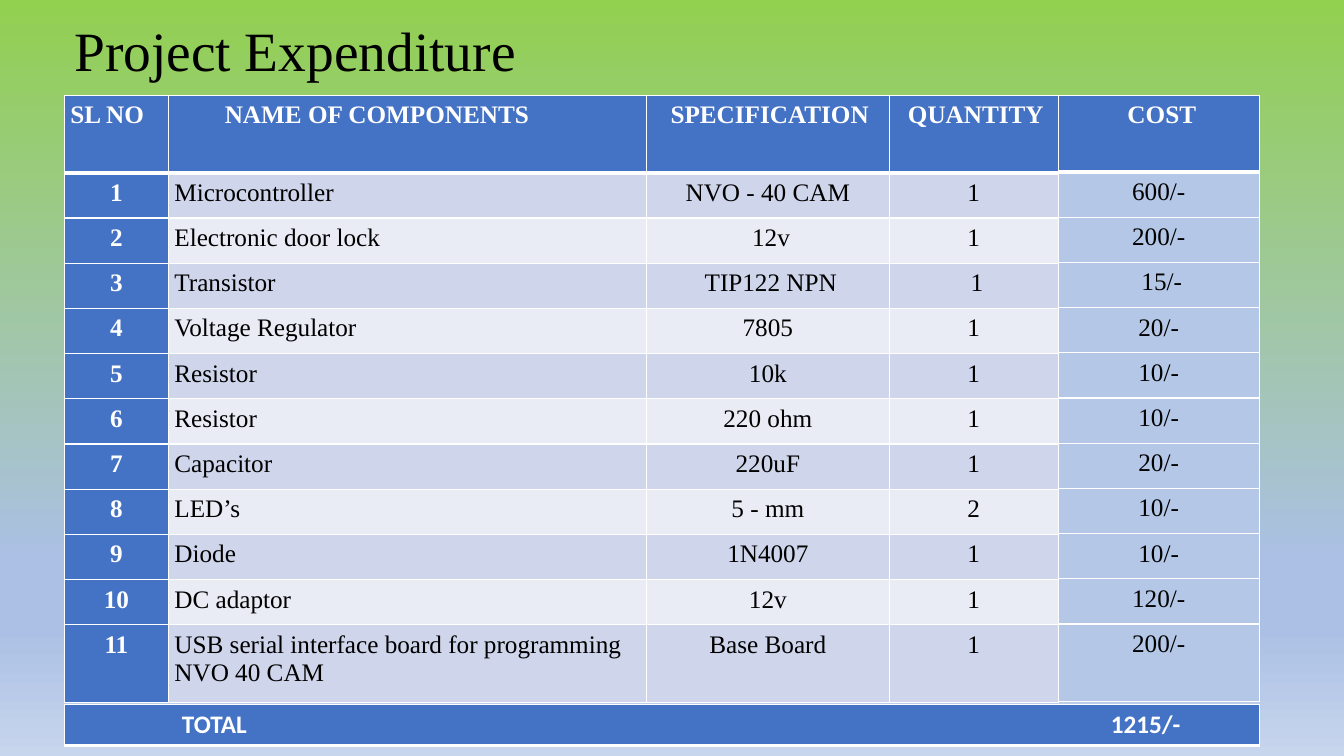
from lxml import etree
from pptx import Presentation
from pptx.dml.color import RGBColor
from pptx.enum.text import MSO_ANCHOR, PP_ALIGN
from pptx.oxml import parse_xml
from pptx.oxml.ns import qn
from pptx.util import Pt

CENTER, LEFT = PP_ALIGN.CENTER, PP_ALIGN.LEFT
MIDDLE = MSO_ANCHOR.MIDDLE
SERIF, SANS = "Times New Roman", "Calibri"
BLUE, COST_BLUE, BANDS = "4472C4", "B4C7E7", ("CFD5EA", "E9EBF5")
WHITE, BLACK = "FFFFFF", "000000"
DRAWING = "http://schemas.openxmlformats.org/drawingml/2006/main"
INSET = 4.3
TABLE_LEFT, TABLE_TOP = 46, 68.2
WIDTHS = [74.3, 341.4, 173.6, 120.6]
COST_WIDTH = 143.5
ROW_HEIGHT, TALL_ROW = 32.3, 55.3

HEADINGS = ["SL NO", "NAME OF COMPONENTS", "SPECIFICATION", "QUANTITY"]
HEADING_INDENTS = [0, 36, 13, 9]
COMPONENTS = [
    ("Microcontroller", "NVO - 40 CAM", "1", "600/-"),
    ("Electronic door lock", " 12v", "1", "200/-"),
    ("Transistor", " TIP122 NPN", " 1", " 15/-"),
    ("Voltage Regulator", "7805", "1", "20/-"),
    ("Resistor", "10k", "1", "10/-"),
    ("Resistor", "220 ohm", "1", "10/-"),
    ("Capacitor", "220uF", "1", "20/-"),
    ("LED’s", "5 - mm", "2", "10/-"),
    ("Diode", "1N4007", "1", "10/-"),
    ("DC adaptor", "12v", "1", "120/-"),
    ("USB serial interface board for programming NVO 40 CAM", "Base Board", "1", "200/-"),
]


def rgb(value):
    return RGBColor.from_string(value)


def add_grid(left, top, widths, heights, rows, font_name=SERIF):
    """Add a table of bold white text on blue, with a thick rule under its first row."""
    table = slide.shapes.add_table(len(rows), len(widths), Pt(left), Pt(top),
                                   Pt(sum(widths)), Pt(sum(heights))).table
    table.first_row = table.horz_banding = False
    for column, width in zip(table.columns, widths):
        column.width = Pt(width)
    for r, (row, height) in enumerate(zip(rows, heights)):
        table.rows[r].height = Pt(height)
        for c, text in enumerate(row):
            cell = table.cell(r, c)
            cell.margin_left = cell.margin_right = Pt(INSET)
            cell.margin_top = cell.margin_bottom = Pt(INSET)
            rules = {"lnL": 1, "lnR": 1, "lnT": 3 if r == 1 else 1, "lnB": 3 if r == 0 else 1}
            for side, weight in rules.items():
                line = etree.SubElement(cell._tc.get_or_add_tcPr(), qn(f"a:{side}"), w=str(Pt(weight)))
                fill = etree.SubElement(line, qn("a:solidFill"))
                etree.SubElement(fill, qn("a:srgbClr"), val=WHITE)
            cell.fill.solid()
            cell.fill.fore_color.rgb = rgb(BLUE)
            cell.text = text
            font = cell.text_frame.paragraphs[0].font
            font.name, font.size, font.bold = font_name, Pt(18), True
            font.color.rgb = rgb(WHITE)
    return table


prs = Presentation()
prs.slide_width, prs.slide_height = Pt(960), Pt(540)
slide = prs.slides.add_slide(prs.slide_layouts[6])

# Background
background = slide.background.fill
background.gradient()
background.gradient_angle = 270
stops = slide.background._cSld.find(".//" + qn("a:gsLst"))
stops.clear()
for position, shade in [(0, "92D050"), (74, "ABC0E4"), (83, "ABC0E4"), (100, "C7D5ED")]:
    stops.append(parse_xml(f'<a:gs xmlns:a="{DRAWING}" pos="{position * 1000}">'
                           f'<a:srgbClr val="{shade}"/></a:gs>'))

# Title
title = slide.shapes.add_textbox(Pt(46), Pt(17), Pt(828), Pt(42)).text_frame
title.word_wrap = True
title.vertical_anchor = MIDDLE
heading = title.paragraphs[0]
heading.text = "Project Expenditure"
heading.line_spacing = 0.9
heading.font.name, heading.font.size = SERIF, Pt(39.6)
heading.font.color.rgb = rgb(BLACK)

# Components and their costs
body_heights = [ROW_HEIGHT] * (len(COMPONENTS) - 1) + [TALL_ROW]
component_rows = [[str(n), *item[:3]] for n, item in enumerate(COMPONENTS, 1)]
components = add_grid(TABLE_LEFT, TABLE_TOP, WIDTHS, [TALL_ROW] + body_heights,
                      [HEADINGS] + component_rows)
costs = add_grid(TABLE_LEFT + sum(WIDTHS), TABLE_TOP, [COST_WIDTH], [TALL_ROW - 0.7] + body_heights,
                 [[" COST"]] + [[item[3]] for item in COMPONENTS])

for c, indent in enumerate(HEADING_INDENTS):
    components.cell(0, c).margin_left = Pt(INSET + indent)
costs.cell(0, 0).text_frame.paragraphs[0].alignment = CENTER

for r in range(1, len(COMPONENTS) + 1):
    components.cell(r, 0).text_frame.paragraphs[0].alignment = CENTER
    band = BANDS[(r - 1) % 2]
    body_cells = [(components.cell(r, 1), LEFT, band), (components.cell(r, 2), CENTER, band),
                  (components.cell(r, 3), CENTER, band), (costs.cell(r, 0), CENTER, COST_BLUE)]
    for cell, alignment, shade in body_cells:
        cell.fill.fore_color.rgb = rgb(shade)
        paragraph = cell.text_frame.paragraphs[0]
        paragraph.alignment = alignment
        paragraph.font.bold = False
        paragraph.font.color.rgb = rgb(BLACK)

# Total, with the sum set at a tab stop
total = add_grid(TABLE_LEFT, 503.3, [sum(WIDTHS) + COST_WIDTH], [29.2], [["TOTAL\t1215/-"]], SANS)
total_cell = total.cell(0, 0)
total_cell.margin_left = Pt(84)
total_cell.margin_top = total_cell.margin_bottom = Pt(3.6)
properties = total_cell.text_frame.paragraphs[0]._p.get_or_add_pPr()
tabs = parse_xml(f'<a:tabLst xmlns:a="{DRAWING}"><a:tab pos="{Pt(663.5)}" algn="l"/></a:tabLst>')
properties.insert(0, tabs)

prs.save("out.pptx")
